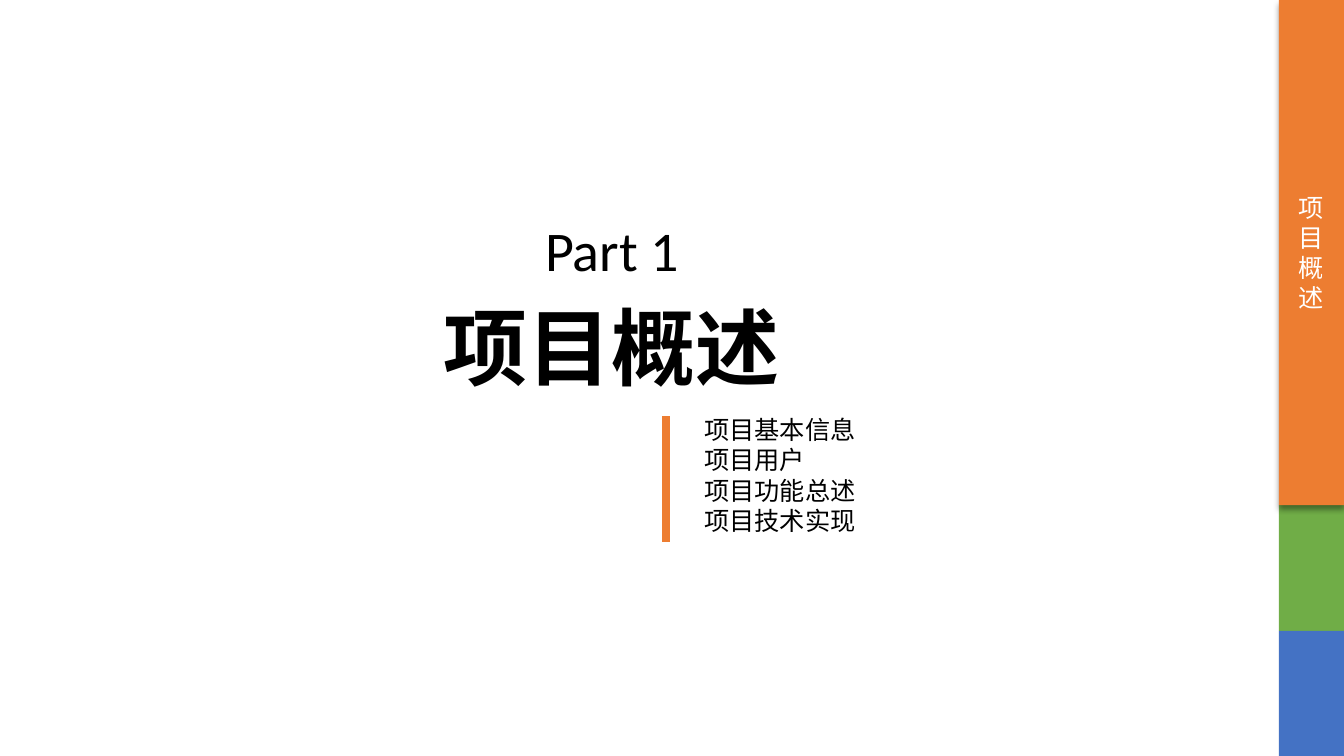
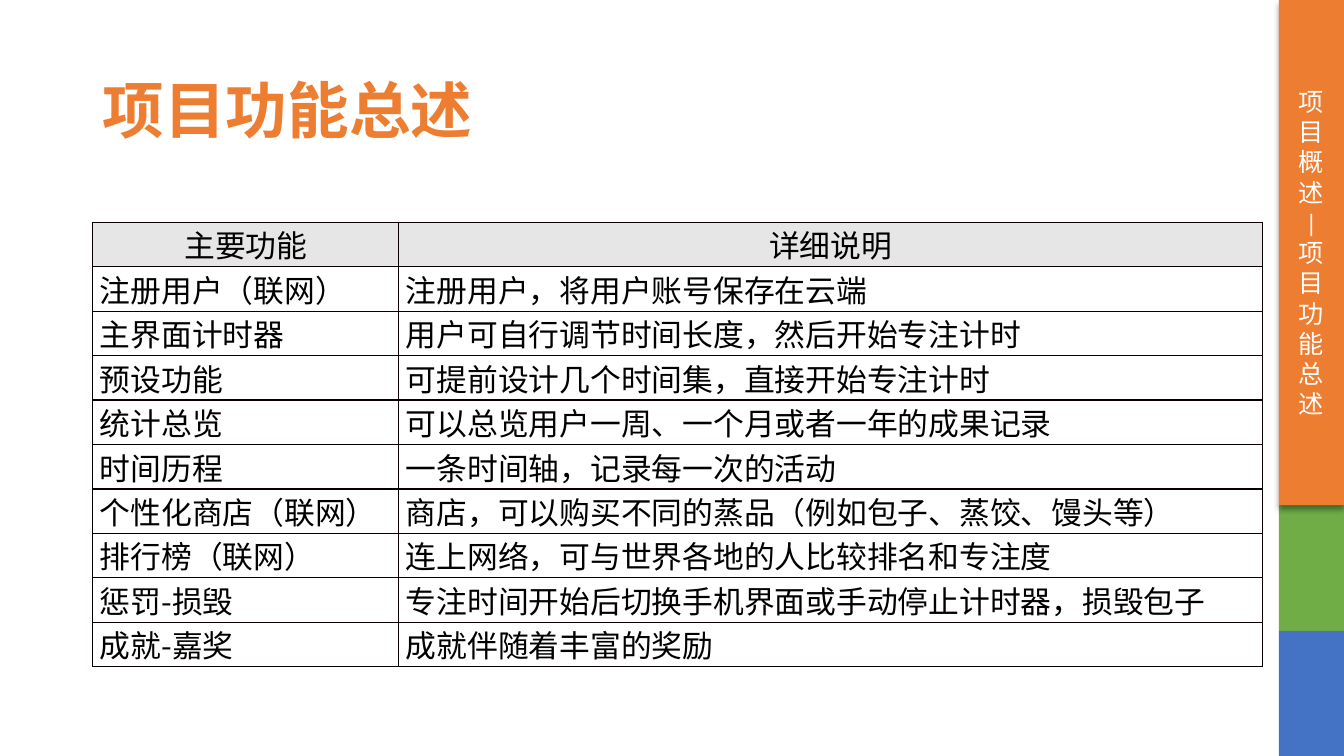
from pptx import Presentation
from pptx.dml.color import RGBColor
from pptx.enum.shapes import MSO_CONNECTOR as Connector, MSO_SHAPE as Shape
from pptx.enum.text import MSO_ANCHOR as Anchor, PP_ALIGN as Align
from pptx.oxml import parse_xml
from pptx.oxml.ns import nsdecls, qn
from pptx.util import Cm, Pt

COLORS = {
    "orange": "ED7D31", "green": "70AD47", "blue": "4472C4",
    "black": "000000", "white": "FFFFFF", "header": "E7E6E6", "border": "080000",
}
LATIN, CHINESE = "Calibri", "Noto Sans CJK SC"

# Text styles: font values, paragraph values, colour
STYLES = {
    "part title": ({"size": Pt(60), "bold": True, "name": LATIN}, {"line_spacing": 0.9}, "black"),
    "title": ({"size": Pt(44), "bold": True, "name": LATIN}, {"line_spacing": 0.9}, "orange"),
    "part number": ({"size": Pt(40), "name": LATIN}, {}, "black"),
    "contents": ({"size": Pt(18), "name": CHINESE}, {"level": 1}, "black"),
    "tab": ({"size": Pt(18), "name": LATIN}, {"alignment": Align.CENTER}, "white"),
    "header": ({"size": Pt(22), "name": CHINESE}, {"alignment": Align.CENTER}, "black"),
    "cell": ({"size": Pt(22), "name": CHINESE}, {"alignment": Align.LEFT}, "black"),
}

# Side tabs: top edge, bottom edge, colour; the orange one lies over the green one
TABS = [(12.73, 15.9, "green"), (0, 12.73, "orange"), (15.9, 19.05, "blue")]
TAB_LEFT, TAB_WIDTH = 32.23, 1.64

SLIDES = [
    {
        "tab": ["项目概述"],
        "texts": [
            ("part title", (10.92, 7.29, 9.3, 3.2), Anchor.MIDDLE, ["项目概述"]),
            ("part number", (13.49, 5.31, 4.93, 1.96), Anchor.TOP, ["Part 1"]),
            ("contents", (16.23, 10.32, 6.86, 3.33), Anchor.TOP,
             ["项目基本信息", "项目用户", "项目功能总述", "项目技术实现"]),
        ],
    },
    {
        "tab": ["项目概述", "|", "项目功能总述"],
        "texts": [("title", (2.34, 1.02, 29.21, 3.68), Anchor.MIDDLE, ["项目功能总述"])],
    },
]

FEATURES = [
    ("主要功能", "详细说明"),
    ("注册用户（联网）", "注册用户，将用户账号保存在云端"),
    ("主界面计时器", "用户可自行调节时间长度，然后开始专注计时"),
    ("预设功能", "可提前设计几个时间集，直接开始专注计时"),
    ("统计总览", "可以总览用户一周、一个月或者一年的成果记录"),
    ("时间历程", "一条时间轴，记录每一次的活动"),
    ("个性化商店（联网）", "商店，可以购买不同的蒸品（例如包子、蒸饺、馒头等）"),
    ("排行榜（联网）", "连上网络，可与世界各地的人比较排名和专注度"),
    ("惩罚-损毁", "专注时间开始后切换手机界面或手动停止计时器，损毁包子"),
    ("成就-嘉奖", "成就伴随着丰富的奖励"),
]


def color(name):
    return RGBColor.from_string(COLORS[name])


def write(frame, lines, style):
    font_values, paragraph_values, color_name = STYLES[style]
    frame.word_wrap = True
    for index, line in enumerate(lines):
        paragraph = frame.paragraphs[0] if index == 0 else frame.add_paragraph()
        for name, value in paragraph_values.items():
            setattr(paragraph, name, value)
        if paragraph.level:
            properties = paragraph._p.get_or_add_pPr()
            properties.set("marL", str(Cm(1.27)))
            properties.set("indent", "0")
        run = paragraph.add_run()
        run.text = line
        for name, value in font_values.items():
            setattr(run.font, name, value)
        run.font.color.rgb = color(color_name)
        run.font._element.find(qn("a:latin")).addnext(
            parse_xml(f'<a:ea {nsdecls("a")} typeface="{CHINESE}"/>'))


presentation = Presentation()
presentation.slide_width, presentation.slide_height = Cm(33.87), Cm(19.05)

# Titles, texts and side tabs of both slides
for content in SLIDES:
    slide = presentation.slides.add_slide(presentation.slide_layouts[6])
    for style, box, anchor, lines in content["texts"]:
        frame = slide.shapes.add_textbox(*map(Cm, box)).text_frame
        frame.vertical_anchor = anchor
        write(frame, lines, style)

    for top, bottom, tab_color in TABS:
        tab = slide.shapes.add_shape(
            Shape.RECTANGLE, Cm(TAB_LEFT), Cm(top), Cm(TAB_WIDTH), Cm(bottom - top))
        tab.shadow.inherit = False
        tab.fill.solid()
        tab.fill.fore_color.rgb = color(tab_color)
        tab.line.fill.background()
        if tab_color == "orange":
            tab.text_frame.vertical_anchor = Anchor.MIDDLE
            write(tab.text_frame, content["tab"], "tab")
            tab._element.spPr.find(qn("a:effectLst")).append(parse_xml(
                f'<a:outerShdw {nsdecls("a")} blurRad="{Pt(4)}" dist="{Pt(3)}" dir="5400000" '
                f'algn="t" rotWithShape="0"><a:srgbClr val="{COLORS["black"]}">'
                '<a:alpha val="40000"/></a:srgbClr></a:outerShdw>'))

part_slide, feature_slide = presentation.slides

# Bar beside the list of contents
bar = part_slide.shapes.add_connector(
    Connector.STRAIGHT, Cm(16.79), Cm(10.49), Cm(16.79), Cm(13.65))
bar.line.color.rgb = color("orange")
bar.line.width = Pt(6)
bar._element.spPr.append(parse_xml(f'<a:effectLst {nsdecls("a")}/>'))

# Feature table
COLUMN_WIDTHS, ROW_HEIGHT = (7.71, 21.77), 1.12
table = feature_slide.shapes.add_table(
    len(FEATURES), len(COLUMN_WIDTHS), Cm(2.34), Cm(5.6),
    Cm(sum(COLUMN_WIDTHS)), Cm(ROW_HEIGHT * len(FEATURES))).table
table.first_row = table.horz_banding = False
for column, width in zip(table.columns, COLUMN_WIDTHS):
    column.width = Cm(width)
CELL_MARGINS = {"margin_left": Cm(0.18), "margin_right": Cm(0.18),
                "margin_top": 0, "margin_bottom": 0}

for row_index, row_texts in enumerate(FEATURES):
    table.rows[row_index].height = Cm(ROW_HEIGHT)
    for column_index, text in enumerate(row_texts):
        cell = table.cell(row_index, column_index)
        for name, value in CELL_MARGINS.items():
            setattr(cell, name, value)
        for side in ("lnL", "lnR", "lnT", "lnB"):
            cell._tc.get_or_add_tcPr().append(parse_xml(
                f'<a:{side} {nsdecls("a")} w="{Pt(1)}"><a:solidFill>'
                f'<a:srgbClr val="{COLORS["border"]}"/></a:solidFill></a:{side}>'))
        if row_index == 0:
            cell.fill.solid()
            cell.fill.fore_color.rgb = color("header")
        else:
            cell.fill.background()
        write(cell.text_frame, [text], "cell" if row_index else "header")

presentation.save("out.pptx")
